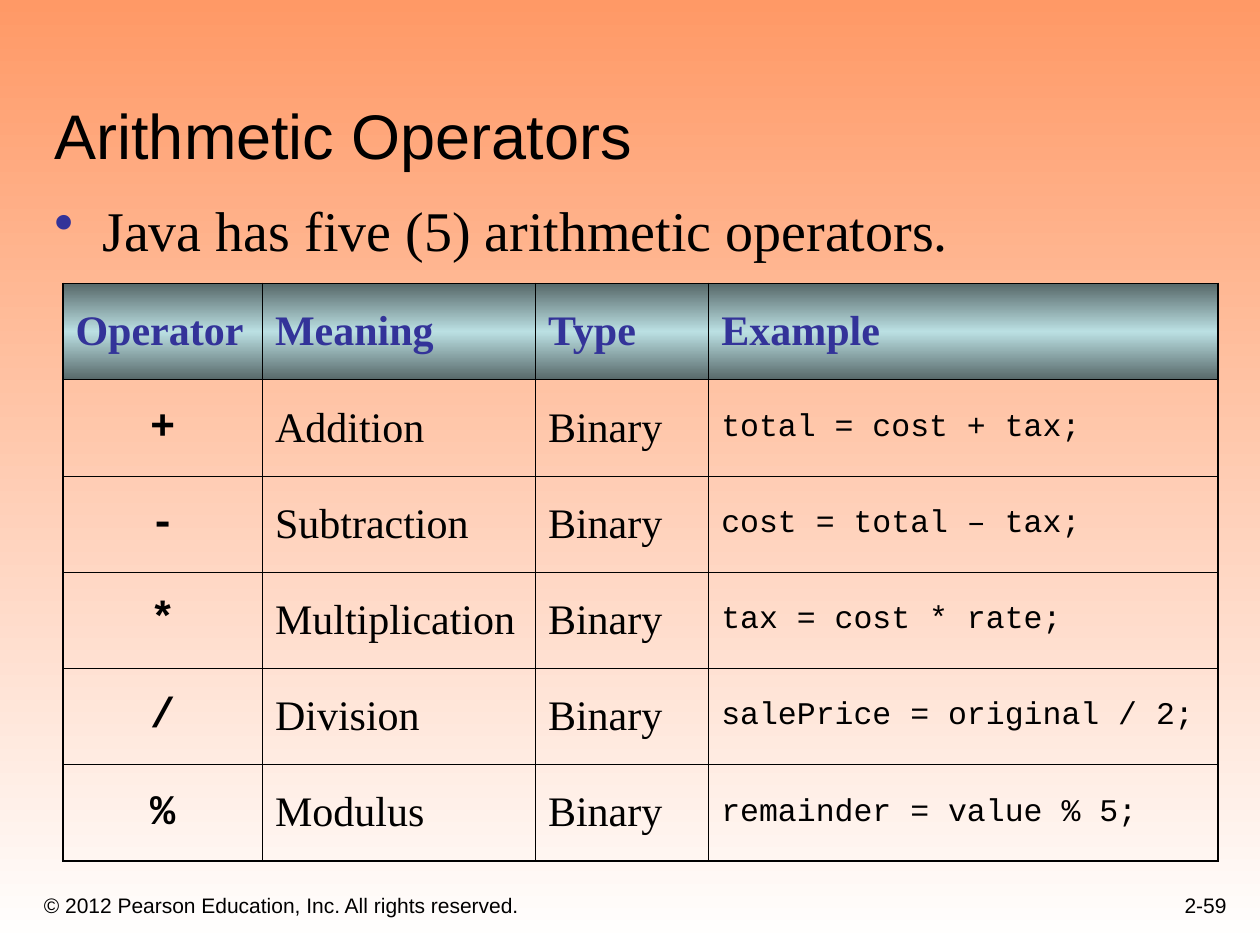
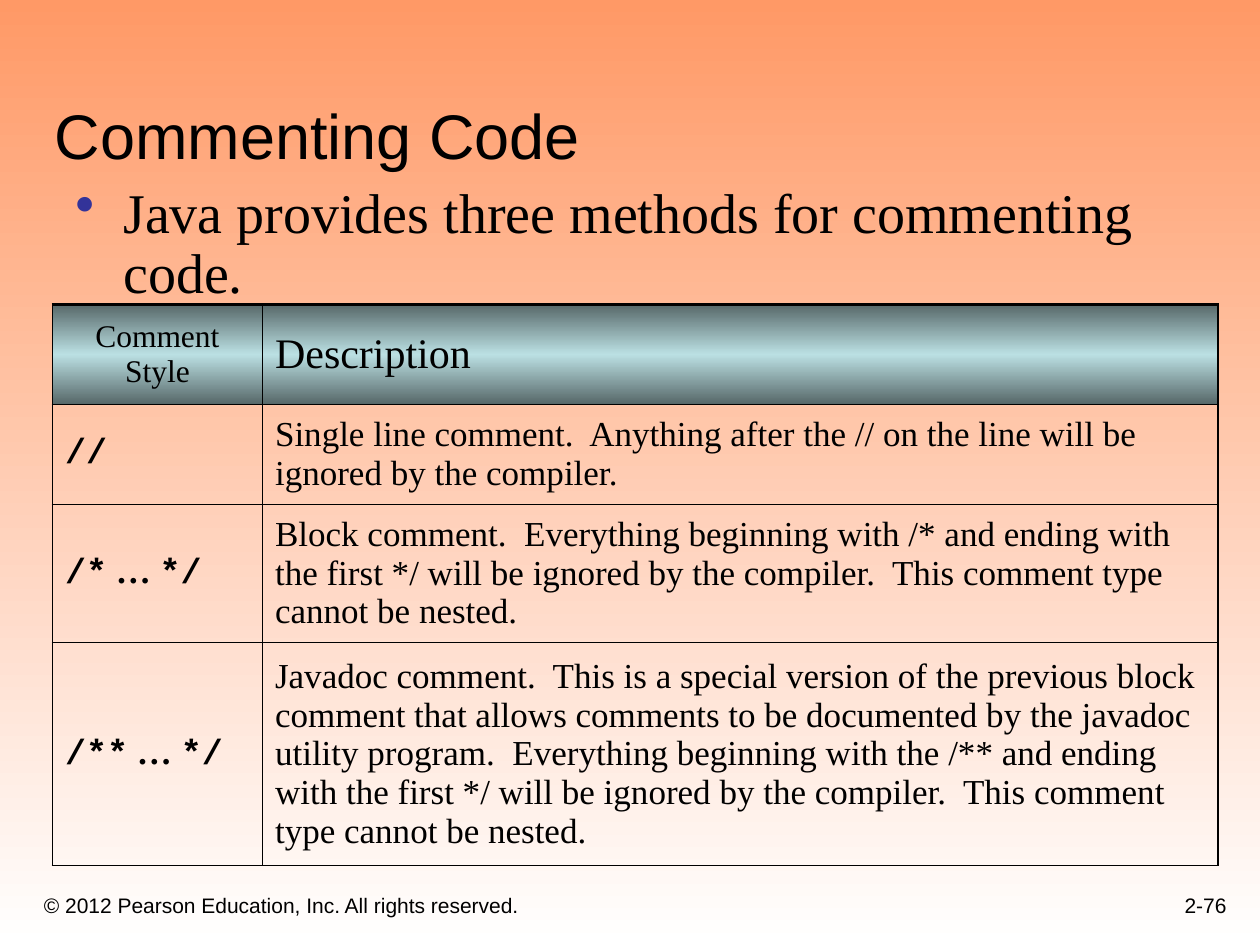
"""Build two slides on Java operators and comments, each with a bordered table."""
from pptx import Presentation
from pptx.dml.color import RGBColor
from pptx.enum.text import MSO_ANCHOR, MSO_AUTO_SIZE, PP_ALIGN
from pptx.oxml import parse_xml
from pptx.oxml.ns import nsdecls
from pptx.util import Inches, Pt

LEFT, CENTER, RIGHT = PP_ALIGN.LEFT, PP_ALIGN.CENTER, PP_ALIGN.RIGHT
TOP, MIDDLE, BOTTOM = MSO_ANCHOR.TOP, MSO_ANCHOR.MIDDLE, MSO_ANCHOR.BOTTOM
NO_AUTOFIT = MSO_AUTO_SIZE.NONE
SANS, SERIF, MONO = "Arial", "Times New Roman", "Courier New"
BLACK, BLUE, ORANGE, WHITE = "000000", "333399", "FF9966", "FFFFFF"
HEADER_STOPS = ((0, "576869"), (50, "BBE0E3"), (100, "576869"))
INNER, OUTER, THICK = 0.45, 1.08, 1.47
COPYRIGHT = "© 2012 Pearson Education, Inc. All rights reserved."
DOTS = " … "


def grid(*units):
    """Turn units of a 120 by 90 slide grid into lengths."""
    return [Inches(u / 12) for u in units]


def write(tf, text, font=SERIF, size=24, color=BLACK, bold=False, align=LEFT):
    """Add formatted text to the first paragraph of a text frame."""
    p = tf.paragraphs[0]
    p.alignment = align
    for i, line in enumerate(text.split("\n")):
        if i:
            p.add_line_break()
        r = p.add_run()
        r.text = line
        r.font.name, r.font.size, r.font.bold = font, Pt(size), bold
        r.font.color.rgb = RGBColor.from_string(color)


head = dict(color=BLUE, bold=True)
operator = dict(font=MONO, bold=True, align=CENTER)
code = dict(font=MONO, size=18)
operators = [
    ("+", "Addition", "total = cost + tax;"),
    ("-", "Subtraction", "cost = total – tax;"),
    ("*", "Multiplication", "tax = cost * rate;"),
    ("/", "Division", "salePrice = original / 2;"),
    ("%", "Modulus", "remainder = value % 5;"),
]
comments = [
    ("//", "Single line comment.  Anything after the // on the line will be "
     "ignored by the compiler."),
    ("/* … */", "Block comment.  Everything beginning with /* and ending with "
     "the first */ will be ignored by the compiler.  This comment type cannot "
     "be nested."),
    ("/** … */", "Javadoc comment.  This is a special version of the previous "
     "block comment that allows comments to be documented by the javadoc "
     "utility program.  Everything beginning with the /** and ending with the "
     "first */ will be ignored by the compiler.  This comment type cannot be "
     "nested."),
]
slides = [
    dict(title="Arithmetic Operators", number="2-59",
         bullet="Java has five (5) arithmetic operators.",
         bullet_box=(4, 18, 109, 8), spacing=1.0,
         origin=(6, 27), cols=(19, 26, 16.5, 48.5), rows=[55 / 6] * 6,
         top_line=OUTER,
         header=("Operator", "Meaning", "Type", "Example"),
         header_formats=[head] * 4,
         body=[(sign, name, "Binary", sample) for sign, name, sample in operators],
         body_formats=[operator, {}, {}, code]),
    dict(title="Commenting Code", number="2-76",
         bullet="Java provides three methods for commenting code.",
         bullet_box=(6, 17, 102, 13), spacing=0.9,
         origin=(5, 29), cols=(20, 91), rows=(9.5, 9.5, 13.2, 21.2),
         top_line=THICK,
         header=("Comment\nStyle", "Description"),
         header_formats=[dict(size=18, align=CENTER), {}],
         body=comments,
         body_formats=[dict(font=MONO, size=20, bold=True), dict(size=20)]),
]

prs = Presentation()
prs.slide_width, prs.slide_height = grid(120, 90)
fill = prs.slide_master.background.fill
fill.gradient()
fill.gradient_angle = 270
for stop, color in zip(fill.gradient_stops, (ORANGE, WHITE)):
    stop.color.rgb = RGBColor.from_string(color)

for spec in slides:
    slide = prs.slides.add_slide(prs.slide_layouts[5])
    sp = slide.shapes.title
    sp.left, sp.top, sp.width, sp.height = grid(4, 4, 113, 13)
    tf = sp.text_frame
    tf.auto_size, tf.vertical_anchor = NO_AUTOFIT, BOTTOM
    write(tf, spec["title"], font=SANS, size=36)

    footer = dict(font=SANS, size=12)
    for text, box, anchor, style in (
            (COPYRIGHT, (3, 83, 73, 5), BOTTOM, footer),
            (spec["number"], (93, 82, 25, 6), BOTTOM, dict(footer, align=RIGHT)),
            (spec["bullet"], spec["bullet_box"], TOP, dict(size=32))):
        tf = slide.shapes.add_textbox(*grid(*box)).text_frame
        tf.word_wrap, tf.vertical_anchor = True, anchor
        write(tf, text, **style)

    tf.margin_right = 0
    p = tf.paragraphs[0]
    p.line_spacing = spec["spacing"]
    pPr = p._p.get_or_add_pPr()
    pPr.set("marL", str(Inches(0.38)))
    pPr.set("indent", str(-Inches(0.38)))
    pPr.append(parse_xml(f'<a:buClr {nsdecls("a")}><a:srgbClr val="{BLUE}"/></a:buClr>'))
    pPr.append(parse_xml(f'<a:buChar {nsdecls("a")} char="•"/>'))

    cols, rows = spec["cols"], spec["rows"]
    size = sum(cols), sum(rows)
    table = slide.shapes.add_table(
        len(rows), len(cols), *grid(*spec["origin"], *size)).table
    table.first_row = table.horz_banding = False
    for col, width in zip(table.columns, grid(*cols)):
        col.width = width
    for row, height in zip(table.rows, grid(*rows)):
        row.height = height

    for i, texts in enumerate([spec["header"], *spec["body"]]):
        formats = spec["body_formats"] if i else spec["header_formats"]
        for j, (text, style) in enumerate(zip(texts, formats)):
            cell = table.cell(i, j)
            cell.vertical_anchor = MIDDLE
            opening, dots, closing = text.partition(DOTS)
            write(cell.text_frame, opening, **style)
            if dots:
                write(cell.text_frame, dots, **dict(style, font=SERIF))
                write(cell.text_frame, closing, **style)

            tcPr = cell._tc.get_or_add_tcPr()
            for side, width in (
                    ("L", INNER if j else OUTER),
                    ("R", OUTER if j == len(cols) - 1 else INNER),
                    ("T", INNER if i else spec["top_line"]),
                    ("B", OUTER if i == len(rows) - 1 else INNER)):
                tcPr.append(parse_xml(
                    f'<a:ln{side} {nsdecls("a")} w="{Pt(width)}"><a:solidFill>'
                    f'<a:srgbClr val="{BLACK}"/></a:solidFill></a:ln{side}>'))
            if i:
                cell.fill.background()
            else:
                stops = "".join(
                    f'<a:gs pos="{pos * 1000}"><a:srgbClr val="{color}"/></a:gs>'
                    for pos, color in HEADER_STOPS)
                tcPr.append(parse_xml(
                    f'<a:gradFill {nsdecls("a")} rotWithShape="0"><a:gsLst>{stops}'
                    '</a:gsLst><a:lin ang="5400000" scaled="1"/></a:gradFill>'))

prs.save("out.pptx")
